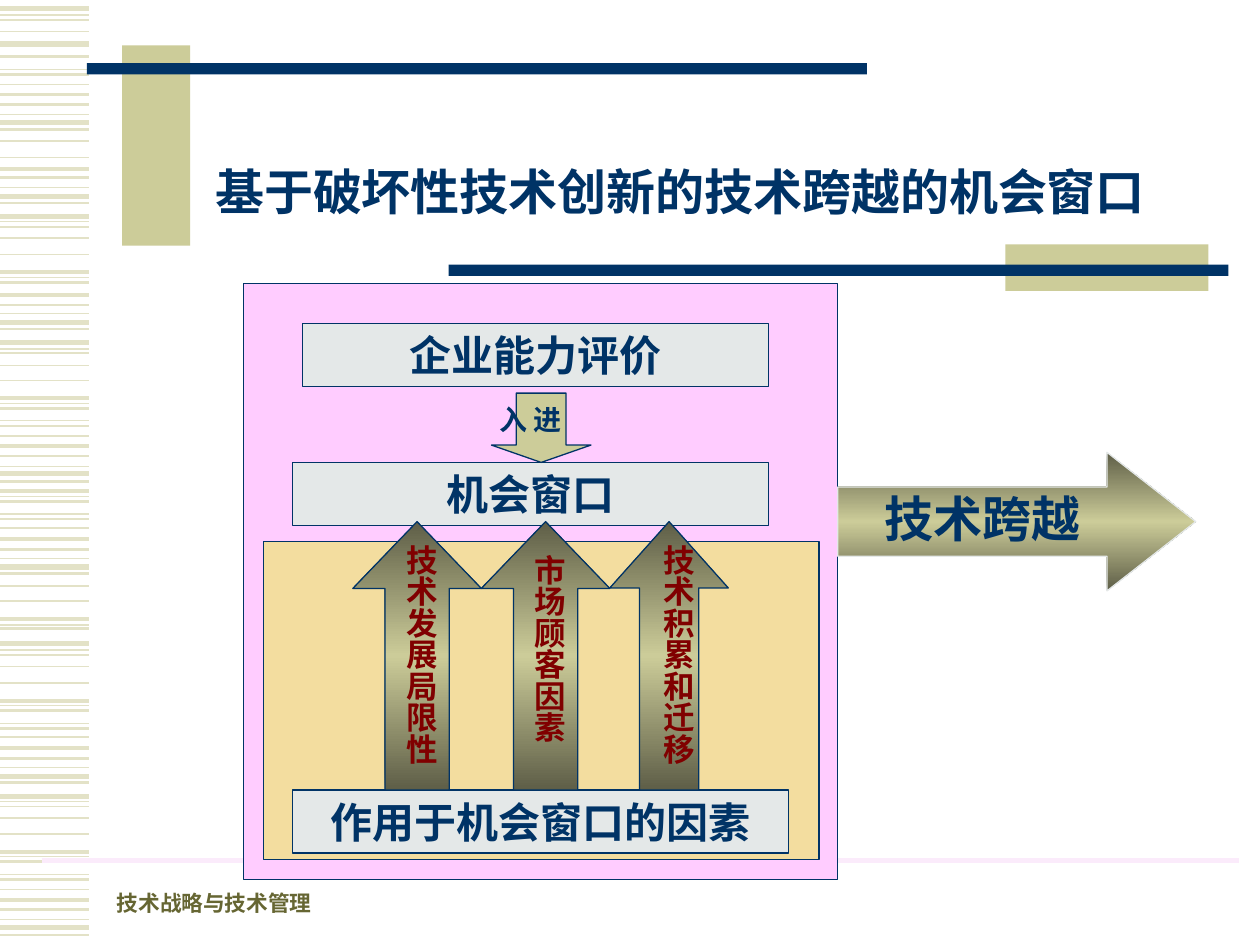
import copy

import pptx
import pptx.dml.color
import pptx.enum.shapes
import pptx.enum.text
import pptx.oxml.ns
import pptx.util

Inches = pptx.util.Inches
Pt = pptx.util.Pt
SHAPE = pptx.enum.shapes.MSO_SHAPE
CENTER = pptx.enum.text.PP_ALIGN.CENTER
LEFT = pptx.enum.text.PP_ALIGN.LEFT
qn = pptx.oxml.ns.qn

COLORS = {
    name: pptx.dml.color.RGBColor.from_string(value)
    for name, value in {
        "stripe": "E3E2C7", "khaki": "CCCC99", "shade": "5E5E47", "navy": "003366",
        "footer_line": "FBEBFB", "olive": "666633", "pink": "FFCCFF",
        "sand": "F3DD9F", "pale": "E4E8E8", "maroon": "800000",
    }.items()
}

deck = pptx.Presentation()
deck.slide_width = Inches(10)
deck.slide_height = Inches(7.5)
page = deck.slides.add_slide(deck.slide_layouts[6])


def add_block(kind, place, fill, line=None, head=None):
    """Add a preset shape; a fill of "gradient" runs dark, light, dark downwards."""
    block = page.shapes.add_shape(kind, *[Inches(value) for value in place])
    block.shadow.inherit = False
    if fill == "gradient":
        block.fill.gradient()
        block.fill.gradient_angle = 90
        stop_list = block.element.spPr.find(".//" + qn("a:gsLst"))
        stop_list.append(copy.deepcopy(stop_list[0]))
        for index, stop in enumerate(block.fill.gradient_stops):
            stop.position = index / 2
            stop.color.rgb = COLORS["khaki" if index == 1 else "shade"]
    else:
        block.fill.solid()
        block.fill.fore_color.rgb = COLORS[fill]
    if line:
        block.line.color.rgb = COLORS[line]
        block.line.width = Pt(0.75)
    else:
        block.line.fill.background()
    if head:
        block.adjustments[0] = 0.5
        block.adjustments[1] = head
    return block


def write(text, size, color, place=None, box=None, align=CENTER, before=0, vertical=False):
    """Write one bold paragraph into box, or into a new text box at place."""
    if box is None:
        box = page.shapes.add_textbox(*[Inches(value) for value in place])
    frame = box.text_frame
    frame.word_wrap = True
    frame.vertical_anchor = pptx.enum.text.MSO_ANCHOR.TOP
    across, along = (0.05, 0.1) if vertical else (0.1, 0.05)
    frame.margin_left = frame.margin_right = Inches(across)
    frame.margin_top = frame.margin_bottom = Inches(along)
    if vertical:
        frame.element.find(qn("a:bodyPr")).set("vert", "eaVert") if hasattr(
            frame, "element") else box.element.txBody.find(qn("a:bodyPr")).set("vert", "eaVert")
    para = frame.paragraphs[0]
    para.alignment = align
    para.space_before = Pt(before)
    span = para.add_run()
    span.text = text
    span.font.name = "Times New Roman"
    span.font.size = Pt(size)
    span.font.bold = True
    span.font.color.rgb = COLORS[color]
    return box


# Horizontal rules: the striped left margin, grouped by weight, and the footer line
stripes = {
    0.75: [0.12, 0.55, 0.91, 1.49, 1.76, 2.2, 2.49, 2.77, 3.2, 3.34, 3.7, 3.94, 4.08,
           4.43, 4.96, 5.16, 5.6, 5.74, 6.09, 6.36, 6.8, 6.94, 7.3],
    1: [0.16, 0.25, 0.67, 1.12, 1.25, 1.8, 1.89, 2.02, 2.8, 2.9, 3.02, 3.46, 4.19,
        4.65, 4.77, 5.2, 5.29, 5.42, 5.85, 6.4, 6.49, 6.62, 7.06],
    1.5: [0.45, 0.59, 0.83, 1.03, 1.41, 1.61, 2.24, 2.42, 2.61, 3.24, 3.38, 3.62, 3.82,
          3.98, 4.12, 4.36, 4.55, 4.99, 5.64, 5.78, 6.02, 6.21, 6.84, 6.98, 7.22, 7.42],
    2.25: [0.75, 1.34, 2.16, 2.34, 3.16, 3.54, 3.9, 4.28, 4.91, 5.56, 5.94, 6.76, 7.14],
    3: [0.07, 0.35, 0.97, 1.56, 1.72, 2.56, 2.72, 3.76, 4.5, 5.11, 6.16, 6.32, 7.36],
}
rules = [(0, 0.71, y, weight, "stripe") for weight, tops in stripes.items() for y in tops]
rules.append((0.33, 9.83, 6.83, 3, "footer_line"))
for start, end, y, weight, color in rules:
    rule = page.shapes.add_connector(
        pptx.enum.shapes.MSO_CONNECTOR.STRAIGHT,
        Inches(start), Inches(y), Inches(end), Inches(y))
    rule.line.color.rgb = COLORS[color]
    rule.line.width = Pt(weight)
    rule.element.spPr.append(pptx.oxml.parse_xml(
        '<a:effectLst xmlns:a="http://schemas.openxmlformats.org/drawingml/2006/main"/>'))

# Header bars, footer and title
for place, color in [
    ((0.97, 0.36, 0.54, 1.59), "khaki"),
    ((0.69, 0.5, 6.19, 0.09), "navy"),
    ((7.98, 1.94, 1.61, 0.37), "khaki"),
    ((3.56, 2.1, 6.19, 0.09), "navy"),
]:
    add_block(SHAPE.RECTANGLE, place, color)
footer = write("技术战略与技术管理", 12.4, "olive", (0.83, 6.98, 2.6, 0.34), align=LEFT)
footer.text_frame.vertical_anchor = pptx.enum.text.MSO_ANCHOR.BOTTOM
write("基于破坏性技术创新的技术跨越的机会窗口", 28, "navy", (1.61, 1.23, 7.8, 0.57),
      align=LEFT, before=17.5)

# Panels and their labelled bars
add_block(SHAPE.RECTANGLE, (1.93, 2.25, 4.72, 4.73), "pink", "navy")
add_block(SHAPE.RECTANGLE, (2.09, 4.3, 4.41, 2.52), "sand", "navy")
for label, left, top, width in [
    ("企业能力评价", 2.4, 2.57, 3.7),
    ("机会窗口", 2.32, 3.67, 3.78),
    ("作用于机会窗口的因素", 2.32, 6.27, 3.94),
]:
    bar = add_block(SHAPE.RECTANGLE, (left, top, width, 0.5), "pale", "navy")
    write(label, 24, "navy", box=bar, before=15)

# Entry arrow between the upper bars
add_block(SHAPE.DOWN_ARROW, (3.9, 3.12, 0.79, 0.55), "khaki", "navy", 0.25)
write("进入", 16, "navy", (4.06, 3.12, 0.46, 0.55), before=10, vertical=True)

# Factor arrows rising to the opportunity window
for index, (label, width, head, label_top) in enumerate([
    ("技术发展局限性", 1.02, 0.52, 4.22),
    ("市场顾客因素", 1.02, 0.52, 4.3),
    ("技术积累和迁移", 0.94, 0.56, 4.22),
]):
    left = 2.8 + 1.02 * index
    add_block(SHAPE.UP_ARROW, (left, 4.14, width, 2.13), "gradient", "navy", head)
    write(label, 18, "maroon", (left + 0.24, label_top, 0.5, 2.13), before=11.2, vertical=True)

# Resulting leap
add_block(SHAPE.RIGHT_ARROW, (6.65, 3.59, 2.84, 1.1), "gradient", "pale", 0.64)
write("技术跨越", 28, "navy", (6.81, 3.83, 1.97, 0.57), before=17.5)

deck.save("out.pptx")
